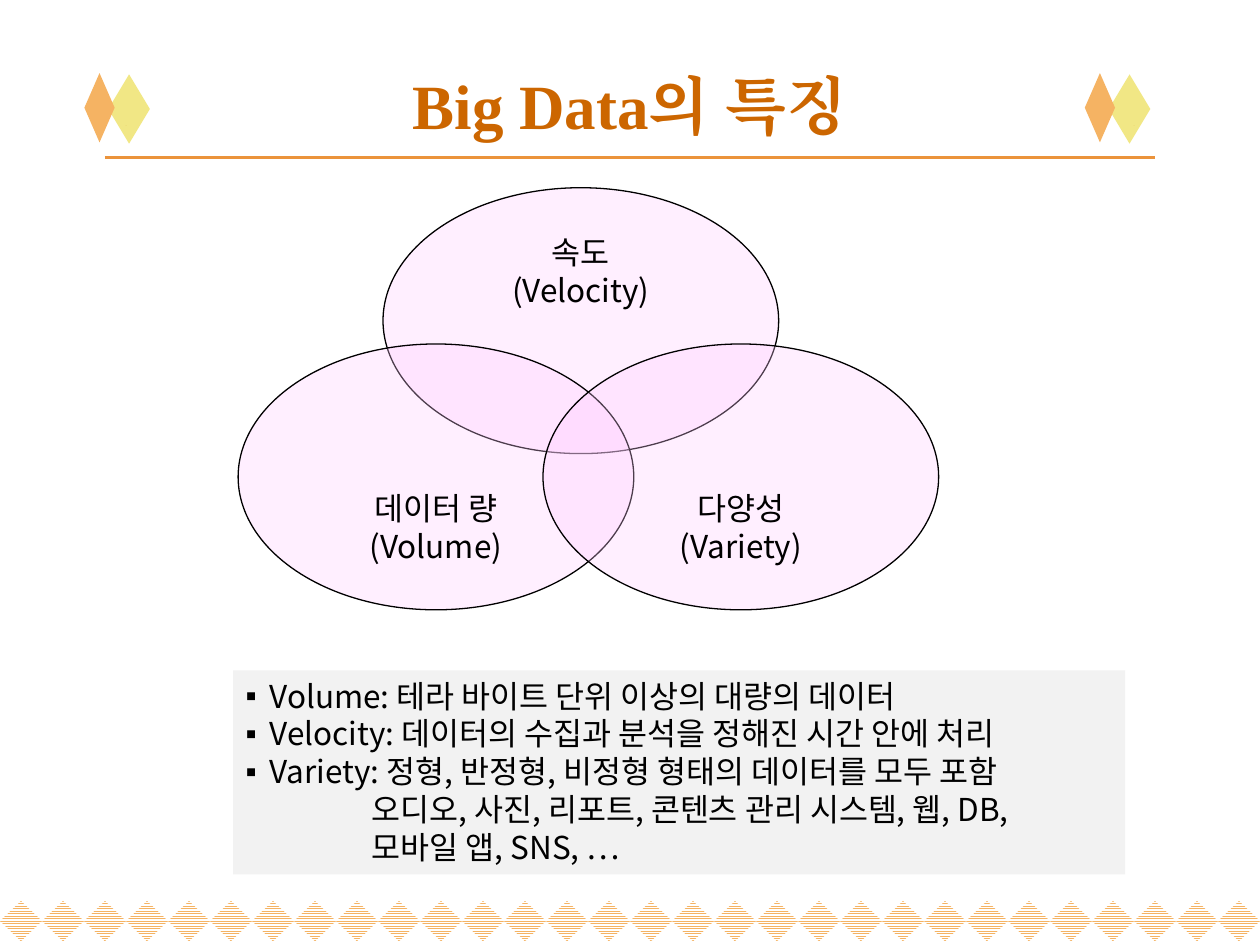
import pptx
import pptx.util
import pptx.dml.color
import pptx.enum.dml
import pptx.enum.shapes
import pptx.enum.text
import pptx.oxml
import pptx.oxml.ns

WIDTH, HEIGHT = 10, 7.5
SANS, SERIF = "Noto Sans CJK KR", "Times New Roman"
COLORS = {
    "black": "000000", "white": "FFFFFF", "panel": "F2F2F2", "pink": "FFCCFF",
    "rust": "CC6600", "orange": "EB933B", "apricot": "F5B363",
    "cream": "F1E785", "yellow": "F3C917", "olive": "BB9321",
}
ALIGN = pptx.enum.text.PP_ALIGN
ANCHOR = pptx.enum.text.MSO_ANCHOR
SHAPES = pptx.enum.shapes.MSO_SHAPE
DIAMOND_COUNT = 30

# Cube faces: colour and corner points, measured from the cube's top left corner.
CUBE_FACES = [
    ("yellow", [(0.49, 0.28), (0.69, 0.28), (0.56, 0.01), (0.36, 0.01)]),
    ("olive", [(0.49, 0.28), (0.69, 0.28), (0.56, 0.55), (0.36, 0.55)]),
    ("orange", [(0.23, 0.28), (0.45, 0.28), (0.32, 0.01), (0.11, 0.01)]),
    ("rust", [(0.23, 0.28), (0.45, 0.28), (0.32, 0.56), (0.11, 0.56)]),
    ("rust", [(0.11, 0.1), (0.04, 0.28), (0.19, 0.28)]),
    ("orange", [(0.11, 0.46), (0.04, 0.28), (0.19, 0.28)]),
]
VENN = [
    (3.04, 1.49, ["속도", "(Velocity)"], ANCHOR.TOP),
    (1.89, 2.73, ["데이터 량", "(Volume)"], ANCHOR.BOTTOM),
    (4.31, 2.73, ["다양성", "(Variety)"], ANCHOR.BOTTOM),
]
BULLETS = [
    "Volume: 테라 바이트 단위 이상의 대량의 데이터",
    "Velocity: 데이터의 수집과 분석을 정해진 시간 안에 처리",
    "Variety: 정형, 반정형, 비정형 형태의 데이터를 모두 포함",
]
DETAILS = ["오디오, 사진, 리포트, 콘텐츠 관리 시스템, 웹, DB,", "모바일 앱, SNS, …"]


def color(name):
    """Return the named colour as an RGB value."""
    return pptx.dml.color.RGBColor.from_string(COLORS[name])


def add_xml(parent, tag, **attributes):
    """Append a drawing element to parent and return it."""
    element = pptx.oxml.parse_xml(f"<a:{tag} {pptx.oxml.ns.nsdecls('a')}/>")
    for key, value in attributes.items():
        element.set(key, str(value))
    parent.append(element)
    return element


def place(shape, left, top, width, height):
    """Move and size a shape, in inches."""
    shape.left, shape.top, shape.width, shape.height = map(
        pptx.util.Inches, (left, top, width, height))


def paint(shape, fill):
    """Give a shape a plain fill with no outline or shadow."""
    shape.shadow.inherit = False
    shape.fill.solid()
    shape.fill.fore_color.rgb = color(fill)
    shape.line.fill.background()


def add_preset(shapes, preset, left, top, width, height, fill):
    """Add a plain preset shape, in inches."""
    shape = shapes.add_shape(preset, *map(pptx.util.Inches, (left, top, width, height)))
    paint(shape, fill)
    return shape


def write(para, text, size=18, font=SANS, ink="black", bold=False,
          align=ALIGN.LEFT, margin=0, bullet=None):
    """Fill a paragraph with formatted text and an optional hanging bullet."""
    para.alignment = align
    para.space_before = para.space_after = pptx.util.Pt(0)
    span = para.add_run()
    span.text = text
    span.font.size, span.font.bold, span.font.name = pptx.util.Pt(size), bold, font
    span.font.color.rgb = color(ink)
    add_xml(span.font._element, "ea", typeface=font)
    properties = para._p.get_or_add_pPr()
    indent = pptx.util.Inches(margin)
    properties.set("marL", str(indent))
    properties.set("indent", str(-indent if bullet else 0))
    if bullet:
        add_xml(properties, "buChar", char=bullet)
    else:
        add_xml(properties, "buNone")


def write_lines(frame, lines, **style):
    """Write each line as a paragraph, using the empty first one if there is one."""
    for line in lines:
        para = frame.paragraphs[-1]
        if para.runs:
            para = frame.add_paragraph()
        write(para, line, **style)


def add_border(page):
    """Add the row of striped diamonds along the bottom edge."""
    step = WIDTH / DIAMOND_COUNT
    group = page.shapes.add_group_shape()
    for column in range(DIAMOND_COUNT):
        diamond = add_preset(group.shapes, SHAPES.DIAMOND, column * step, 7.15,
                             step, 0.32, "white")
        diamond.fill.patterned()
        diamond.fill.pattern = pptx.enum.dml.MSO_PATTERN.NARROW_HORIZONTAL
        diamond.fill.fore_color.rgb = color("apricot")
        diamond.fill.back_color.rgb = color("white")


def add_cube(page, left, top):
    """Add one cube ornament built from coloured faces."""
    shapes = page.shapes.add_group_shape().shapes
    add_preset(shapes, SHAPES.DIAMOND, left + 0.19, top + 0.01, 0.33, 0.55, "cream")
    add_preset(shapes, SHAPES.DIAMOND, left, top, 0.24, 0.55, "apricot")
    for fill, corners in CUBE_FACES:
        points = [(left + x, top + y) for x, y in corners]
        builder = shapes.build_freeform(*points[0], scale=pptx.util.Inches(1))
        builder.add_line_segments(points[1:], close=True)
        paint(builder.convert_to_shape(), fill)


def add_rule(page):
    """Add the line under the title."""
    ends = map(pptx.util.Inches, (WIDTH / 12, 1.25, WIDTH * 11 / 12, 1.25))
    rule = page.shapes.add_connector(pptx.enum.shapes.MSO_CONNECTOR.STRAIGHT, *ends)
    rule.line.color.rgb = color("orange")
    rule.line.width = pptx.util.Pt(2.25)
    add_xml(rule._element.spPr, "effectLst")


def add_venn(page):
    """Add the three overlapping translucent ellipses."""
    shapes = page.shapes.add_group_shape().shapes
    for left, top, lines, anchor in VENN:
        ellipse = add_preset(shapes, SHAPES.OVAL, left, top, 3.14, 2.11, "pink")
        tint = ellipse._element.spPr.find(".//" + pptx.oxml.ns.qn("a:srgbClr"))
        add_xml(tint, "alpha", val=30000)
        ellipse.line.color.rgb = color("black")
        ellipse.line.width = pptx.util.Pt(0.75)
        ellipse.text_frame.word_wrap = True
        ellipse.text_frame.vertical_anchor = anchor
        write_lines(ellipse.text_frame, lines, align=ALIGN.CENTER)


def fill_title(page):
    """Place and write the title."""
    title = page.shapes.title
    place(title, 0.5, 0.4, 9, 0.85)
    title.text_frame.vertical_anchor = ANCHOR.MIDDLE
    write(title.text_frame.paragraphs[0], "Big Data의 특징", size=36, font=SERIF,
          ink="rust", bold=True, align=ALIGN.CENTER)


def fill_body(page):
    """Place and write the explanation panel."""
    body = page.placeholders[1]
    place(body, 1.85, 5.32, 7.08, 1.62)
    body.fill.solid()
    body.fill.fore_color.rgb = color("panel")
    frame = body.text_frame
    frame.auto_size = pptx.enum.text.MSO_AUTO_SIZE.NONE
    frame.vertical_anchor = ANCHOR.TOP
    write_lines(frame, BULLETS, margin=0.19, bullet="▪")
    write_lines(frame, DETAILS, margin=1)


def main():
    """Build the slide and save it."""
    deck = pptx.Presentation()
    deck.slide_width = pptx.util.Inches(WIDTH)
    deck.slide_height = pptx.util.Inches(HEIGHT)
    page = deck.slides.add_slide(deck.slide_layouts[1])
    add_border(page)
    add_rule(page)
    for left in (0.67, 8.61):
        add_cube(page, left, 0.58)
    fill_title(page)
    add_venn(page)
    fill_body(page)
    deck.save("out.pptx")


main()
